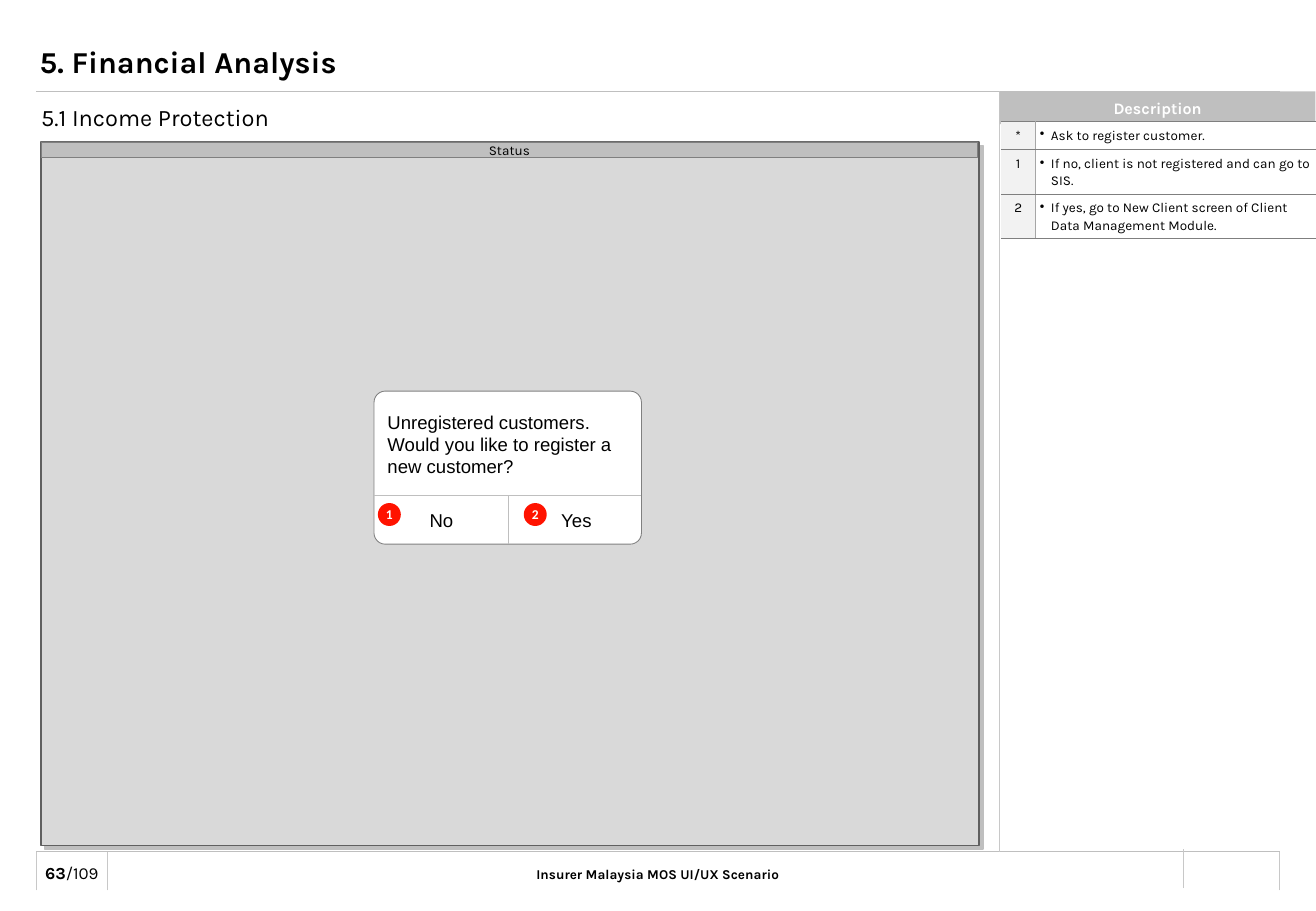
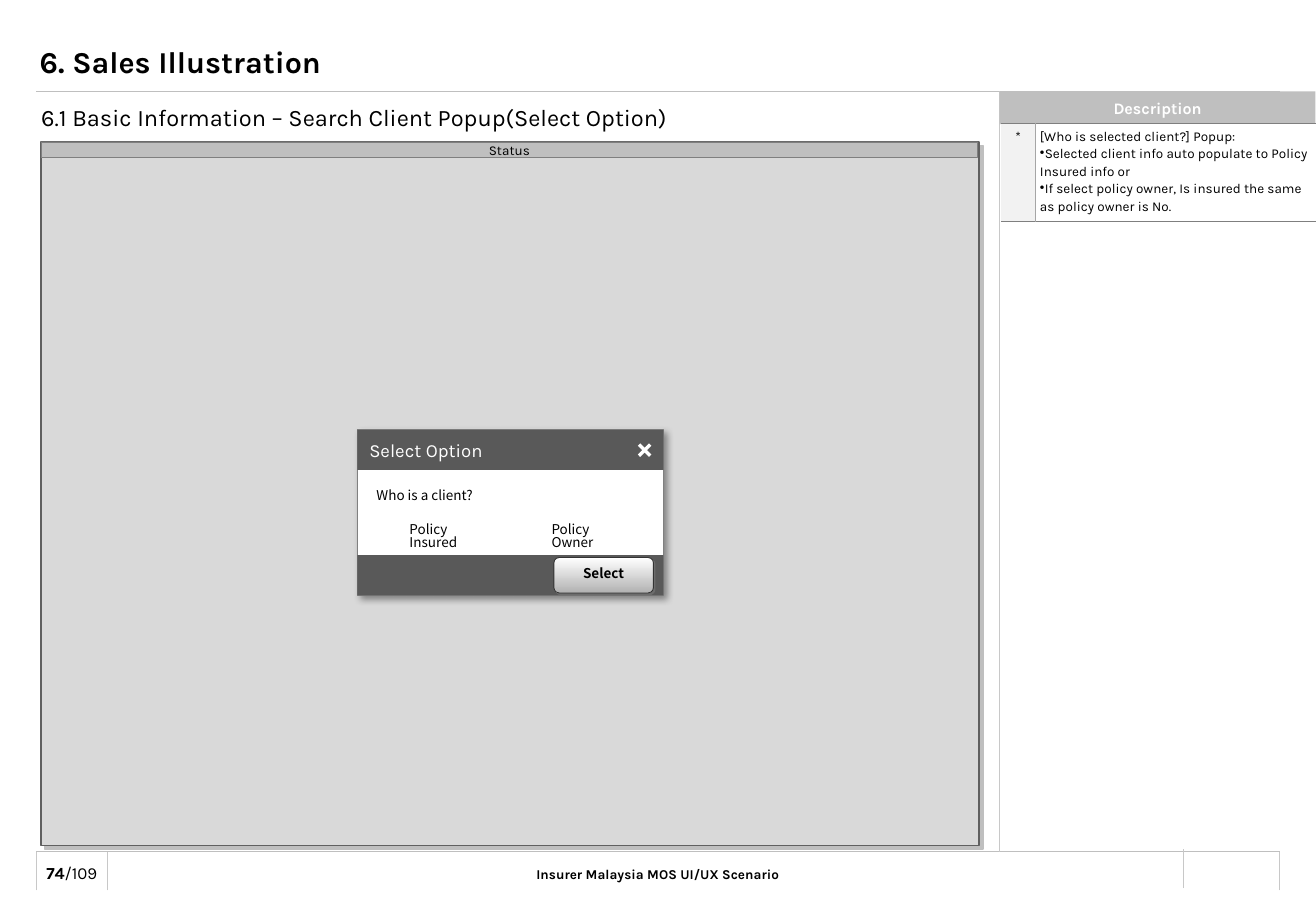
from lxml.etree import SubElement
from pptx import Presentation
from pptx.dml.color import RGBColor
from pptx.enum.shapes import MSO_CONNECTOR, MSO_SHAPE
from pptx.enum.text import MSO_ANCHOR, MSO_AUTO_SIZE, PP_ALIGN
from pptx.oxml.ns import qn
from pptx.util import Cm, Pt

COLORS = {
    "black": "000000", "white": "FFFFFF", "band": "BFBFBF", "frame": "C8C8C8",
    "canvas": "D9D9D9", "canvas_edge": "606060", "edge": "7F7F7F", "divider": "A6A6A6",
    "popup_edge": "808080", "label": "F2F2F2", "bar": "595959", "badge": "FF1300",
    "button_edge": "333333", "button_low": "B2B2B2",
}

FORMATS = {
    "title": {"name": "Karla", "size": Pt(18), "bold": True},
    "subtitle": {"name": "Karla", "size": Pt(14), "bold": False},
    "band": {"name": "Karla", "size": Pt(9.5), "bold": True},
    "footer": {"name": "Karla", "size": Pt(8), "bold": True},
    "page": {"name": "Karla", "size": Pt(10), "bold": True},
    "total": {"name": "Karla", "size": Pt(10), "bold": False},
    "small": {"name": "Karla", "size": Pt(8), "bold": False},
    "popup_title": {"name": "Karla", "size": Pt(11), "bold": False},
    "popup": {"name": "Arial", "size": Pt(11), "bold": False},
    "badge": {"name": "Calibri", "size": Pt(8), "bold": True},
    "option": {"name": "Noto Sans CJK KR", "size": Pt(8), "bold": False},
    "button": {"name": "Noto Sans CJK KR", "size": Pt(8), "bold": True},
}

LEFT, RIGHT, TOP, BOTTOM, PANEL = 0.76, 26.75, 1.91, 17.81, 20.9
INSETS = (0.25, 0.13, 0.25, 0.13)
NO_INSETS = (0, 0, 0, 0)
CENTER, MIDDLE = PP_ALIGN.CENTER, MSO_ANCHOR.MIDDLE


def rgb(color):
    return RGBColor.from_string(COLORS[color])


class Storyboard:
    def __init__(self, deck):
        self.deck = deck
        self.page = None

    def set_frame(self, frame, anchor=MSO_ANCHOR.TOP, insets=INSETS, wrap=True):
        left, top, right, bottom = insets
        values = {
            "auto_size": MSO_AUTO_SIZE.NONE, "word_wrap": wrap, "vertical_anchor": anchor,
            "margin_left": Cm(left), "margin_top": Cm(top),
            "margin_right": Cm(right), "margin_bottom": Cm(bottom),
        }
        for name, value in values.items():
            setattr(frame, name, value)

    def add_spans(self, para, spans, color="black", align=PP_ALIGN.LEFT, spacing=None):
        para.alignment = align
        if spacing:
            para.line_spacing = spacing
        for text, style in spans:
            span = para.add_run()
            span.text = text
            for name, value in FORMATS[style].items():
                setattr(span.font, name, value)
            span.font.color.rgb = rgb(color)

    def bullet(self, para, indent):
        properties = para._p.get_or_add_pPr()
        properties.set("marL", str(Cm(indent)))
        properties.set("indent", str(-Cm(indent)))
        SubElement(properties, qn("a:buChar")).set("char", "•")

    def text(self, place, spans, align=PP_ALIGN.LEFT, spacing=None, **frame_values):
        box = self.page.shapes.add_textbox(*map(Cm, place))
        self.set_frame(box.text_frame, **frame_values)
        self.add_spans(box.text_frame.paragraphs[0], spans, align=align, spacing=spacing)

    def shape(self, place, fill, line=None, width=0.5, kind=MSO_SHAPE.RECTANGLE,
              adjust=None, shadow=None):
        shape = self.page.shapes.add_shape(kind, *map(Cm, place))
        shape.shadow.inherit = False
        if adjust is not None:
            shape.adjustments[0] = adjust
        shape.fill.solid()
        shape.fill.fore_color.rgb = rgb(fill)
        if line:
            shape.line.color.rgb = rgb(line)
            shape.line.width = Pt(width)
        else:
            shape.line.fill.background()
        if shadow:
            self.cast_shadow(shape, *shadow)
        return shape

    def cast_shadow(self, shape, color, opacity, blur, distance):
        effects = shape.element.spPr.find(qn("a:effectLst"))
        outer = SubElement(effects, qn("a:outerShdw"))
        values = {"blurRad": Pt(blur), "dist": Pt(distance), "dir": 45 * 60000,
                  "algn": "tl", "rotWithShape": 0}
        for name, value in values.items():
            outer.set(name, str(value))
        tint = SubElement(outer, qn("a:srgbClr"))
        tint.set("val", COLORS[color])
        SubElement(tint, qn("a:alpha")).set("val", str(opacity * 1000))

    def label(self, shape, text, style, color="black", align=CENTER, spacing=None,
              insets=NO_INSETS, wrap=False):
        self.set_frame(shape.text_frame, MIDDLE, insets, wrap)
        self.add_spans(shape.text_frame.paragraphs[0], [(text, style)], color, align, spacing)

    def line(self, start, end, color="frame", width=0.5):
        connector = self.page.shapes.add_connector(
            MSO_CONNECTOR.STRAIGHT, *map(Cm, start + end))
        connector.line.color.rgb = rgb(color)
        connector.line.width = Pt(width)
        SubElement(connector.element.spPr, qn("a:effectLst"))

    def badge(self, left, top, number):
        circle = self.shape((left, top, 0.48, 0.48), "badge", kind=MSO_SHAPE.OVAL)
        self.label(circle, number, "badge", "white")

    def border(self, cell, sides):
        properties = cell._tc.get_or_add_tcPr()
        for side in "LRTB":
            edge = SubElement(properties, qn(f"a:ln{side}"))
            if side in sides:
                color, width = sides[side]
                edge.set("w", str(Pt(width)))
                paint = SubElement(edge, qn("a:solidFill"))
                SubElement(paint, qn("a:srgbClr")).set("val", COLORS[color])
            else:
                edge.set("w", "0")
                SubElement(edge, qn("a:noFill"))

    def cell(self, cell, fill, sides, insets):
        self.border(cell, sides)
        cell.fill.solid()
        cell.fill.fore_color.rgb = rgb(fill)
        names = ("margin_left", "margin_top", "margin_right", "margin_bottom")
        for name, value in zip(names, insets):
            setattr(cell, name, Cm(value))

    def descriptions(self, top, rows, indent):
        heights = [height for _, height, _ in rows]
        table = self.page.shapes.add_table(
            len(rows), 2, Cm(20.93), Cm(top), Cm(6.58), Cm(sum(heights))).table
        table.first_row = table.horz_banding = False
        for column, width in zip(table.columns, (0.71, 5.87)):
            column.width = Cm(width)
        rule, divider = ("edge", 0.5), ("divider", 0.25)
        for index, (mark, height, notes) in enumerate(rows):
            table.rows[index].height = Cm(height)
            mark_cell, note_cell = table.cell(index, 0), table.cell(index, 1)
            self.cell(mark_cell, "label", {"T": rule, "R": divider, "B": rule},
                      (0, 0.13, 0, 0.13))
            self.cell(note_cell, "white", {"L": divider, "T": rule, "R": rule, "B": rule},
                      (0.1, 0.1, 0.1, 0.1))
            self.add_spans(mark_cell.text_frame.paragraphs[0], [(mark, "small")],
                           align=CENTER)
            for position, (note, bulleted) in enumerate(notes):
                frame = note_cell.text_frame
                para = frame.add_paragraph() if position else frame.paragraphs[0]
                if bulleted:
                    self.bullet(para, indent)
                self.add_spans(para, [(note, "small")], spacing=1.1)

    def start_page(self, title, subtitle, number):
        self.page = self.deck.slides.add_slide(self.deck.slide_layouts[5])
        self.line((LEFT, TOP), (RIGHT, TOP), "band")
        self.line((LEFT, BOTTOM), (RIGHT, BOTTOM), "band")
        for x in (LEFT, 2.24, RIGHT):
            self.line((x, 18.62), (x, BOTTOM))
        self.line((24.74, 18.57), (24.74, 17.75))
        self.line((PANEL, TOP), (PANEL, BOTTOM))
        self.text((8.84, 17.98, 9.83, 0.61),
                  [("Insurer Malaysia MOS UI/UX Scenario", "footer")], CENTER)
        self.text((0.66, 17.93, 1.68, 0.66), [(number, "page"), ("/109", "total")], CENTER,
                  anchor=MIDDLE, insets=(0.23, 0.1, 0.23, 0.1), wrap=False)
        band = self.shape((PANEL, TOP, 6.6, 0.69), "band")
        self.label(band, "Description", "band", "white")

        heading = self.page.shapes.title
        places = zip(("left", "top", "width", "height"), (0.58, 0.66, 24.77, 1.24))
        for name, value in places:
            setattr(heading, name, Cm(value))
        self.set_frame(heading.text_frame, MIDDLE)
        self.add_spans(heading.text_frame.paragraphs[0], [(title, "title")])
        self.text((0.61, 2.03, 19.2, 0.79), [(subtitle, "subtitle")])

        self.shape((0.86, 2.97, 19.61, 14.71), "canvas", "canvas_edge", 1,
                   shadow=("band", 100, 0, 3))
        status = self.shape((0.86, 2.97, 19.58, 0.33), "band", "edge")
        self.label(status, "Status", "small")


def income_protection(board):
    board.start_page("5. Financial Analysis", "5.1 Income Protection", "63")
    board.descriptions(2.54, [
        ("*", 0.58, [("Ask to register customer.", True)]),
        ("1", 0.93, [("If no, client is not registered and can go to SIS.", True)]),
        ("2", 0.93, [("If yes, go to New Client screen of Client Data Management Module.",
                      True)]),
    ], 0.23)
    left, top, width, height = 7.82, 8.18, 5.59, 3.2
    split, middle = 10.36, left + width / 2
    board.shape((left, top, width, height), "white", "popup_edge",
                kind=MSO_SHAPE.ROUNDED_RECTANGLE, adjust=0.073)
    board.line((left, split), (left + width, split), "band", 0.25)
    board.line((middle, split), (middle, top + height), "band", 0.25)
    question = "Unregistered customers. Would you like to register a new customer?"
    board.text((7.85, 8.46, width, 1.68), [(question, "popup")])
    answers = (("No", left, 7.9), ("Yes", 10.64, 10.95))
    for number, (answer, x, badge_left) in enumerate(answers, 1):
        board.text((x, 10.52, 2.82, 0.74), [(answer, "popup")], CENTER)
        board.badge(badge_left, 10.52, str(number))


def search_client(board):
    board.start_page("6. Sales Illustration",
                     "6.1 Basic Information – Search Client Popup(Select Option)", "74")
    board.descriptions(2.57, [("*", 2.06, [
        ("[Who is selected client?] Popup:", False),
        ("Selected client info auto populate to Policy Insured info or", True),
        ("If select policy owner, Is insured the same as policy owner is No.", True),
    ])], 0)
    left, width, bar_height = 7.47, 6.4, 0.84
    board.shape((left, 8.97, width, 3.48), "white", "popup_edge", 0.25,
                shadow=("black", 40, 4, 3))
    header = board.shape((left, 8.99, width, bar_height), "bar")
    board.label(header, "Select Option", "popup_title", "white", PP_ALIGN.LEFT,
                insets=INSETS, wrap=True)
    close = board.shape((13.31, 9.25, 0.33, 0.33), "white", kind=MSO_SHAPE.CROSS,
                        adjust=0.394)
    close.rotation = 45
    board.shape((left, 11.61, width, bar_height), "bar")
    button = board.shape((11.58, 11.66, 2.08, 0.74), "white", "button_edge",
                         kind=MSO_SHAPE.ROUNDED_RECTANGLE, adjust=0.15,
                         shadow=("popup_edge", 50, 0, 1.4))
    button.fill.gradient()
    button.fill.gradient_angle = 270
    for stop, position, color in zip(button.fill.gradient_stops, (0, 1),
                                     ("white", "button_low")):
        stop.position = position
        stop.color.rgb = rgb(color)
    board.label(button, "Select", "button", spacing=0.9, insets=(0.25, 0.1, 0.25, 0.13))
    for option, x, option_width in (("Policy Insured", 8.31, 2.36),
                                    ("Policy Owner", 11.28, 2.24)):
        board.text((x, 10.82, option_width, 0.53), [(option, "option")], spacing=0.83,
                   insets=(0.25, 0.13, 0.7, 0.13))
    board.text((7.62, 10.11, 2.77, 0.53), [("Who is a client?", "option")], spacing=0.83)


def main():
    deck = Presentation()
    deck.slide_width, deck.slide_height = Cm(27.51), Cm(19.05)
    board = Storyboard(deck)
    income_protection(board)
    search_client(board)
    deck.save("out.pptx")


if __name__ == "__main__":
    main()
